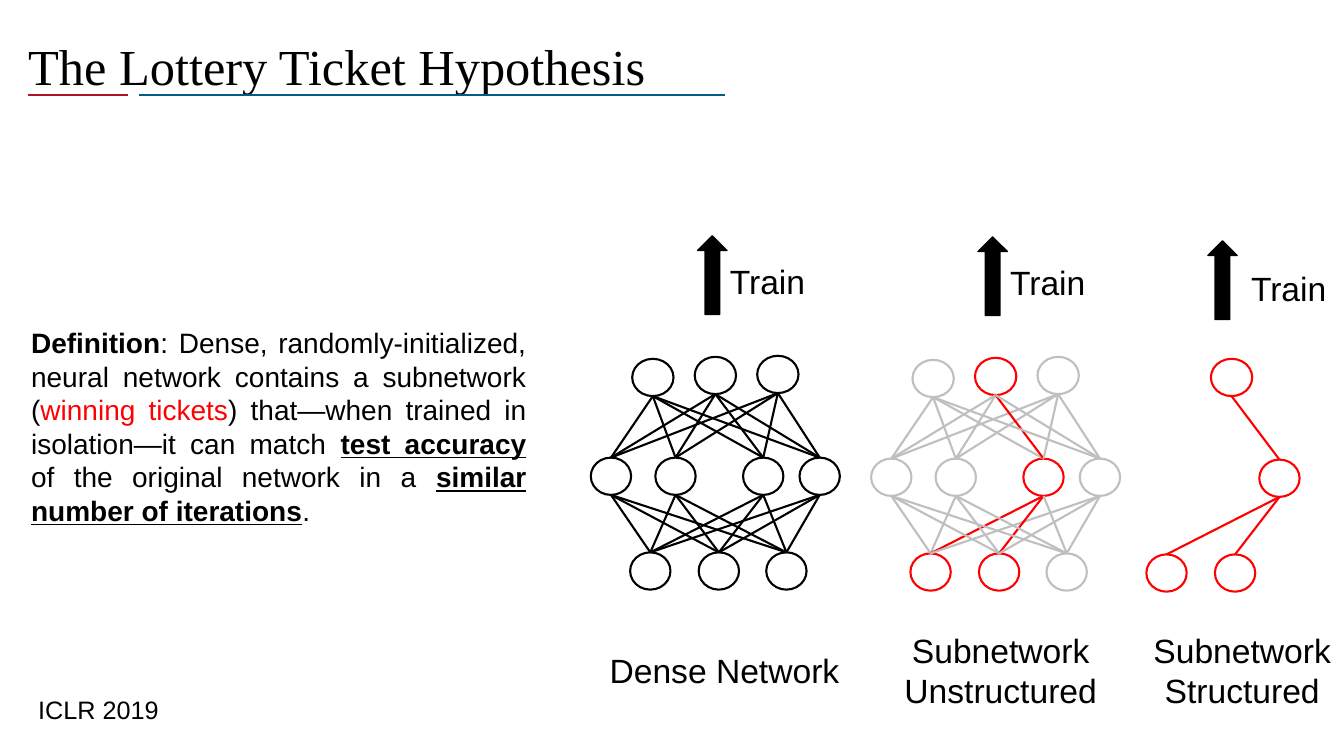
import pptx
import pptx.util
import pptx.dml.color
import pptx.enum.shapes
import pptx.enum.text
import pptx.oxml
import itertools

Inches, Pt = pptx.util.Inches, pptx.util.Pt
KIND = pptx.enum.shapes.MSO_SHAPE
ALIGN = pptx.enum.text.PP_ALIGN
FIT = pptx.enum.text.MSO_AUTO_SIZE

HUE = {"black": "000000", "red": "FF0000", "grey": "BFBFBF",
       "wine": "AE1324", "blue": "045A88"}

TITLE = "The Lottery Ticket Hypothesis"
RULES = [(0.28, 1.27, "wine"), (1.38, 7.19, "blue")]
CLAIM = [
    ("Definition", "black", True, False),
    (": Dense, randomly-initialized, neural network contains a subnetwork (",
     "black", False, False),
    ("winning tickets", "red", False, False),
    (") that—when trained in isolation—it can match ", "black", False, False),
    ("test accuracy ", "black", True, True),
    ("of the original network in a ", "black", False, False),
    ("similar number of iterations", "black", True, True),
    (".", "black", False, False),
]
VENUE = "ICLR 2019"

LAYERS = [
    [(6.27, 3.56), (6.89, 3.54), (7.51, 3.53)],
    [(5.86, 4.54), (6.5, 4.54), (7.37, 4.54), (7.93, 4.54)],
    [(6.25, 5.48), (6.93, 5.48), (7.6, 5.48)],
]
WIDTHS = [0.41, 0.4, 0.4]
TALL = 0.37
TICKET = {(0, 1), (1, 2), (2, 0), (2, 1)}

NETS = [
    dict(shift=(0, 0), win="black", rest="black", arrow=(6.92, 2.34),
         train=(7.14, 2.54), label=["Dense Network"], box=(5.93, 6.4, 2.51, 0.5)),
    dict(shift=(2.78, 0.01), win="red", rest="grey", arrow=(9.7, 2.35),
         train=(9.92, 2.55), label=["Subnetwork", "Unstructured"],
         box=(8.86, 6.2, 2.13, 0.91)),
    dict(shift=(5.12, 0.02), win="red", rest=None, arrow=(11.98, 2.39),
         train=(12.31, 2.61), label=["Subnetwork", "Structured"],
         box=(11.33, 6.2, 1.98, 0.91)),
]


def tint(name):
    return pptx.dml.color.RGBColor.from_string(HUE[name])


def add_run(para, text, size, face="Arial", hue="black", bold=False, under=False):
    run = para.add_run()
    run.text = text
    font = run.font
    font.name, font.size = face, Pt(size)
    font.bold, font.underline = bold, under
    font.color.rgb = tint(hue)


def add_text(slide, box, lines, size, align=ALIGN.LEFT, wrap=False):
    frame = slide.shapes.add_textbox(*map(Inches, box)).text_frame
    frame.word_wrap = wrap
    frame.auto_size = FIT.SHAPE_TO_FIT_TEXT
    for i, runs in enumerate(lines):
        para = frame.add_paragraph() if i else frame.paragraphs[0]
        para.alignment = align
        for text, *style in runs:
            add_run(para, text, size, "Arial", *style)


def add_line(slide, start, end, hue):
    line = slide.shapes.add_connector(
        pptx.enum.shapes.MSO_CONNECTOR.STRAIGHT, *map(Inches, start + end))
    line.line.color.rgb = tint(hue)
    line.line.width = Pt(1.5)
    line._element.spPr.append(pptx.oxml.parse_xml(
        '<a:effectLst xmlns:a="http://schemas.openxmlformats.org/drawingml/2006/main"/>'))
    return line


def add_shape(slide, kind, box, hue, width, fill=None):
    shape = slide.shapes.add_shape(kind, *map(Inches, box))
    shape.shadow.inherit = False
    shape.line.color.rgb = tint(hue)
    shape.line.width = Pt(width)
    if fill:
        shape.fill.solid()
        shape.fill.fore_color.rgb = tint(fill)
    else:
        shape.fill.background()
    return shape


def add_net(slide, net):
    dx, dy = net["shift"]
    nodes = {}
    for row, layer in enumerate(LAYERS):
        for col, (x, y) in enumerate(layer):
            hue = net["win"] if (row, col) in TICKET else net["rest"]
            if hue:
                box = (x + dx, y + dy, WIDTHS[row], TALL)
                shape = add_shape(slide, KIND.FLOWCHART_CONNECTOR, box, hue, 1.5)
                nodes[row, col] = box, shape
    for low, high in itertools.product(nodes, nodes):
        if low[0] != high[0] + 1:
            continue
        hue = net["win"] if {low, high} <= TICKET else net["rest"]
        x, y, wide, tall = nodes[high][0]
        left, top, span, _ = nodes[low][0]
        line = add_line(slide, (x + wide / 2, y + tall), (left + span / 2, top), hue)
        line.end_connect(nodes[low][1], 0)
    add_shape(slide, KIND.UP_ARROW, net["arrow"] + (0.29, 0.78), "black", 1, "black")
    add_text(slide, net["train"] + (0.96, 0.5), [[("Train",)]], 24)
    add_text(slide, net["box"], [[(text,)] for text in net["label"]], 24, ALIGN.CENTER)


def main():
    deck = pptx.Presentation()
    deck.slide_width, deck.slide_height = Inches(13.33), Inches(7.5)
    slide = deck.slides.add_slide(deck.slide_layouts[5])

    title = slide.shapes.title
    title.left, title.top = Inches(0.18), Inches(-0.04)
    title.width, title.height = Inches(11.5), Inches(1.45)
    frame = title.text_frame
    frame.auto_size = FIT.NONE
    frame.vertical_anchor = pptx.enum.text.MSO_ANCHOR.MIDDLE
    para = frame.paragraphs[0]
    para.alignment, para.line_spacing = ALIGN.LEFT, 0.9
    add_run(para, TITLE, 36, "Times New Roman")

    for left, right, hue in RULES:
        add_line(slide, (left, 0.94), (right, 0.94), hue)
    add_text(slide, (0.21, 3.18, 5.11, 2.12), [CLAIM], 20, ALIGN.JUSTIFY, True)
    for net in NETS:
        add_net(slide, net)
    add_text(slide, (0.28, 6.84, 1.41, 0.4), [[(VENUE,)]], 18)
    deck.save("out.pptx")


if __name__ == "__main__":
    main()
